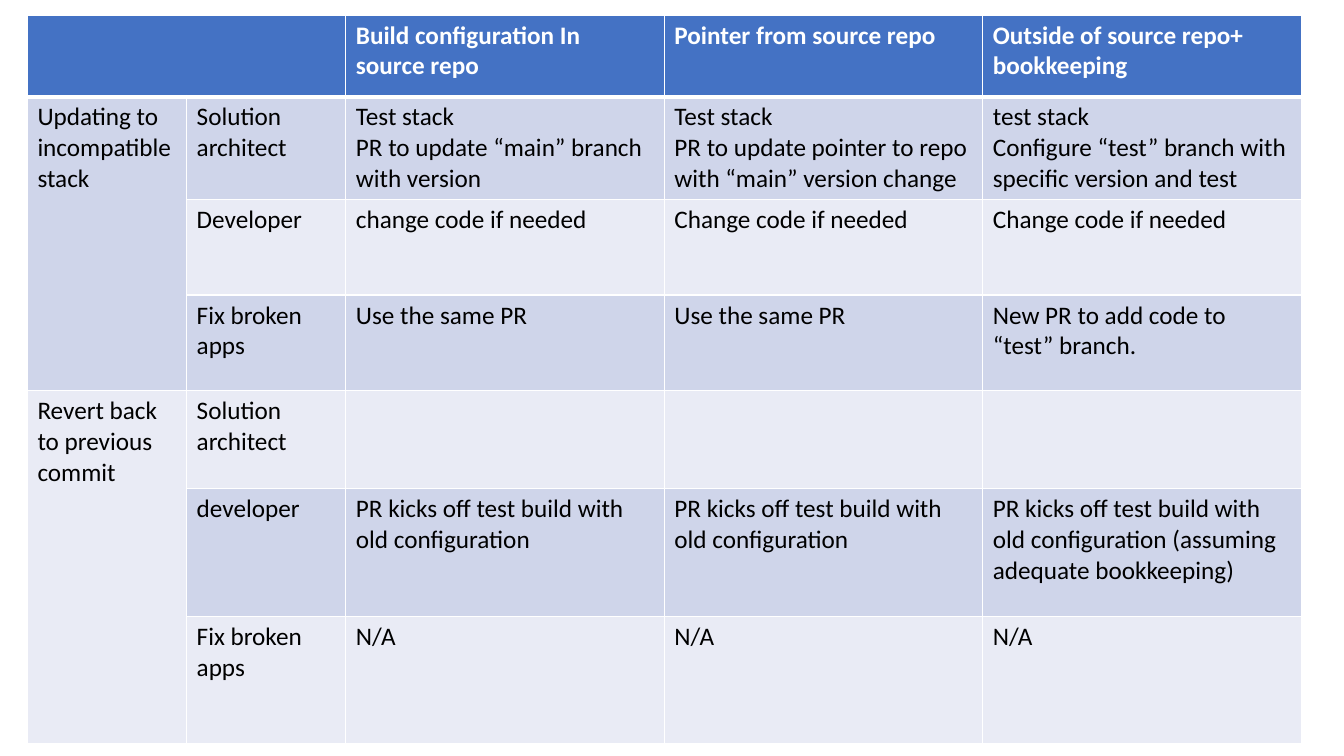
"""Build a slide comparing three places to keep the build configuration."""
from dataclasses import dataclass

from lxml.etree import SubElement
from pptx import Presentation
from pptx.dml.color import RGBColor
from pptx.oxml.ns import qn
from pptx.util import Pt

ROWS = [
    ["", "", "Build configuration In source repo", "Pointer from source repo",
     "Outside of source repo+ bookkeeping"],
    ["Updating to incompatible stack", "Solution architect",
     "Test stack\nPR to update “main” branch with version",
     "Test stack\nPR to update pointer to repo with “main” version change",
     "test stack\nConfigure “test” branch with specific version and test"],
    ["", "Developer", "change code if needed", "Change code if needed", "Change code if needed"],
    ["", "Fix broken apps", "Use the same PR", "Use the same PR",
     "New PR to add code to “test” branch."],
    ["Revert back to previous commit", "Solution architect", "", "", ""],
    ["", "developer", "PR kicks off test build with old configuration",
     "PR kicks off test build with old configuration",
     "PR kicks off test build with old configuration (assuming adequate bookkeeping)"],
    ["", "Fix broken apps", "N/A", "N/A", "N/A"],
]
MERGES = [((0, 0), (0, 1)), ((1, 0), (3, 0)), ((4, 0), (6, 0))]
COLUMN_WIDTHS = [113.75, 113.75, 227.5, 227.5, 227.5]
ROW_HEIGHTS = [58.3, 68.5, 68.5, 68.5, 70, 91, 91]
TABLE_LEFT, TABLE_TOP = 19.6, 10.8


@dataclass(frozen=True)
class Theme:
    """Colours and type of the table."""
    font: str = "Calibri"
    size: float = 18
    header: str = "4472C4"
    bands: tuple = ("E9EBF5", "CFD5EA")
    light: str = "FFFFFF"
    dark: str = "000000"
    rule: float = 1
    header_rule: float = 3


THEME = Theme()


def add_borders(cell, row):
    """Draw the cell's four rules, heavier under the header."""
    properties = cell._tc.get_or_add_tcPr()
    heavy = {0: "lnB", 1: "lnT"}.get(row)
    for side in ("lnL", "lnR", "lnT", "lnB"):
        width = THEME.header_rule if side == heavy else THEME.rule
        line = SubElement(properties, qn(f"a:{side}"), w=str(Pt(width)))
        fill = SubElement(line, qn("a:solidFill"))
        SubElement(fill, qn("a:srgbClr"), val=THEME.light)


def format_cell(cell, row, text):
    """Set the text, rules and fill of one cell."""
    is_header = row == 0
    add_borders(cell, row)
    cell.fill.solid()
    cell.fill.fore_color.rgb = RGBColor.from_string(
        THEME.header if is_header else THEME.bands[row % 2])
    cell.text_frame.text = text
    for paragraph in cell.text_frame.paragraphs:
        font = paragraph.font
        font.name, font.size, font.bold = THEME.font, Pt(THEME.size), is_header
        font.color.rgb = RGBColor.from_string(THEME.light if is_header else THEME.dark)
        for run in paragraph.runs:
            run.font.name, run.font.size, run.font.bold = font.name, font.size, is_header
            run.font.color.rgb = font.color.rgb


def add_comparison(slide):
    """Add the comparison table with its merged labels."""
    table = slide.shapes.add_table(
        len(ROWS), len(COLUMN_WIDTHS), Pt(TABLE_LEFT), Pt(TABLE_TOP),
        Pt(sum(COLUMN_WIDTHS)), Pt(sum(ROW_HEIGHTS))).table
    for column, width in zip(table.columns, COLUMN_WIDTHS):
        column.width = Pt(width)
    for table_row, height in zip(table.rows, ROW_HEIGHTS):
        table_row.height = Pt(height)
    for row, texts in enumerate(ROWS):
        for column, text in enumerate(texts):
            format_cell(table.cell(row, column), row, text)
    for first, last in MERGES:
        table.cell(*first).merge(table.cell(*last))


def main():
    """Create and save the presentation."""
    presentation = Presentation()
    presentation.slide_width, presentation.slide_height = Pt(960), Pt(540)
    add_comparison(presentation.slides.add_slide(presentation.slide_layouts[6]))
    presentation.save("out.pptx")


if __name__ == "__main__":
    main()
